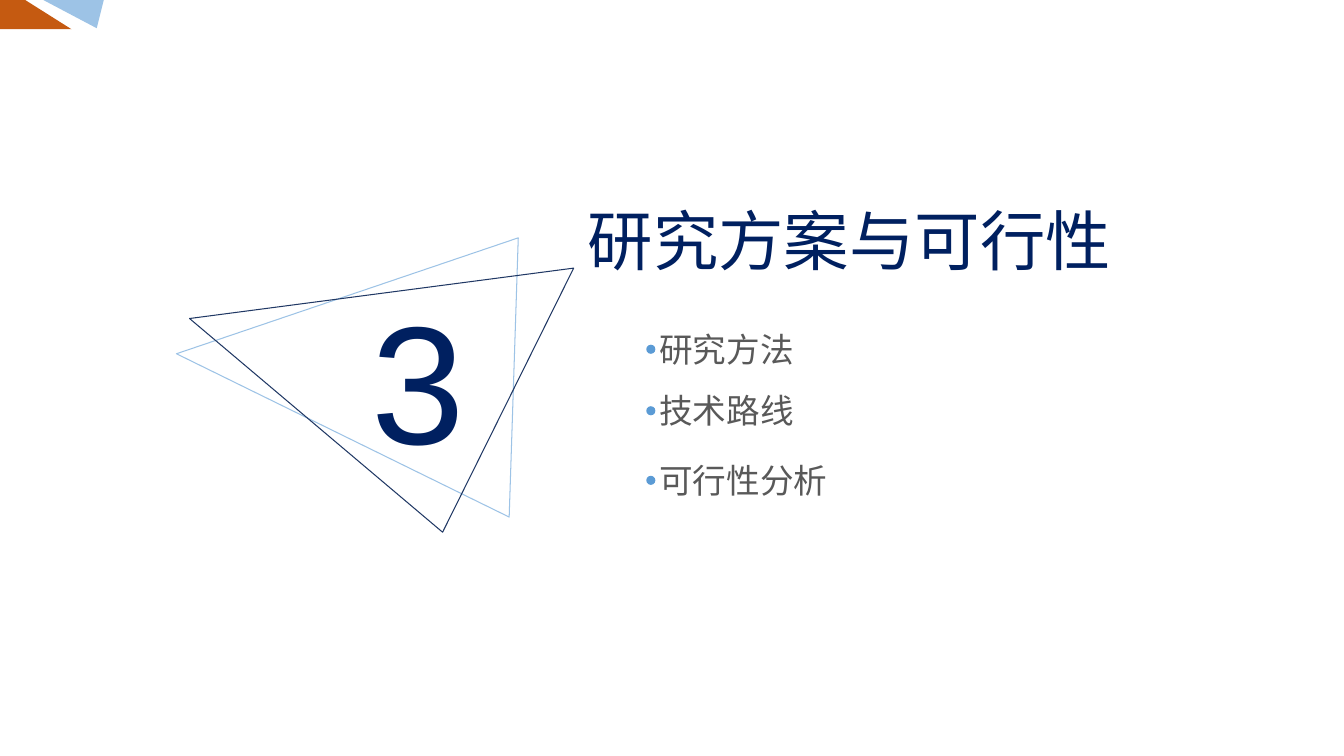
from pptx import Presentation
from pptx.dml.color import RGBColor
from pptx.enum.shapes import MSO_SHAPE
from pptx.enum.text import MSO_AUTO_SIZE, PP_ALIGN
from pptx.util import Inches, Pt

NAVY = RGBColor(0x00, 0x20, 0x60)
DARK_BLUE = RGBColor(0x20, 0x38, 0x64)
LIGHT_BLUE = RGBColor(0x9D, 0xC3, 0xE6)
DOT_BLUE = RGBColor(0x5B, 0x9B, 0xD5)
ORANGE = RGBColor(0xC5, 0x5A, 0x11)
GRAY = RGBColor(0x59, 0x59, 0x59)

FONT = "Arial"
DOT_SIZE = 0.09
TOPICS = [("研究方法", 3.21, 1.55), ("技术路线", 3.82, 1.55), ("可行性分析", 4.51, 1.88)]


def add_text(slide, text, box, size, color, align=PP_ALIGN.LEFT):
    """Add one unwrapped line of text in box (left, top, width, height)."""
    shape = slide.shapes.add_textbox(*map(Inches, box))
    frame = shape.text_frame
    frame.word_wrap = False
    frame.auto_size = MSO_AUTO_SIZE.SHAPE_TO_FIT_TEXT
    paragraph = frame.paragraphs[0]
    paragraph.text = text
    paragraph.alignment = align
    font = paragraph.font
    font.name, font.size = FONT, Pt(size)
    font.color.rgb = color


def add_polygon(slide, points, fill=None, line=None):
    """Add a closed polygon through points, filled or outlined."""
    start, *others = [(Inches(x), Inches(y)) for x, y in points]
    builder = slide.shapes.build_freeform(*start)
    builder.add_line_segments(others, close=True)
    shape = builder.convert_to_shape()
    shape.shadow.inherit = False
    if fill is None:
        shape.fill.background()
    else:
        shape.fill.solid()
        shape.fill.fore_color.rgb = fill
    if line is None:
        shape.line.fill.background()
    else:
        shape.line.color.rgb = line
        shape.line.width = Pt(0.75)


def add_topic(slide, text, top, width):
    """Add a topic line with a round dot in front of it."""
    add_text(slide, text, (6.44, top, width, 0.5), 24, GRAY)
    dot = slide.shapes.add_shape(
        MSO_SHAPE.OVAL, Inches(6.41), Inches(top + 0.21), Inches(DOT_SIZE), Inches(DOT_SIZE))
    dot.shadow.inherit = False
    dot.fill.solid()
    dot.fill.fore_color.rgb = DOT_BLUE
    dot.line.fill.background()


def main():
    """Build the section slide and save it."""
    presentation = Presentation()
    presentation.slide_width = Inches(13.33)
    presentation.slide_height = Inches(7.5)
    slide = presentation.slides.add_slide(presentation.slide_layouts[6])

    add_text(slide, "研究方案与可行性", (5.71, 1.94, 5.43, 0.89), 46.7, NAVY, PP_ALIGN.CENTER)
    add_polygon(slide, [(5.14, 2.36), (1.75, 3.51), (5.05, 5.13)], line=LIGHT_BLUE)
    add_polygon(slide, [(1.88, 3.16), (5.69, 2.66), (4.39, 5.28)], line=DARK_BLUE)
    add_text(slide, "3", (3.59, 2.69, 1.04, 2.12), 120, NAVY)
    add_polygon(slide, [(0.43, 0), (0.96, 0.28), (1.03, 0)], fill=LIGHT_BLUE)
    add_polygon(slide, [(0.71, 0.29), (0.25, 0), (0, 0), (0, 0.29)], fill=ORANGE)
    for text, top, width in TOPICS:
        add_topic(slide, text, top, width)

    presentation.save("out.pptx")


main()
